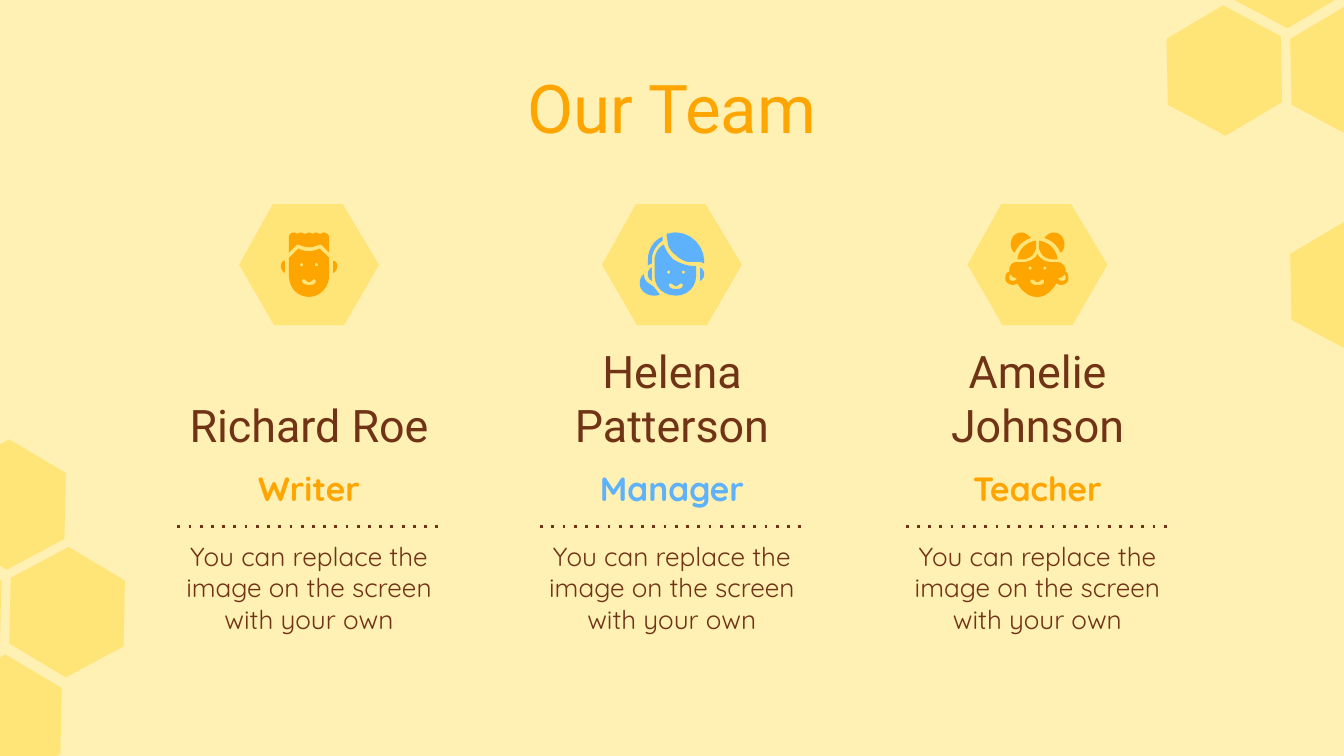
from math import cos, pi, sin

from lxml import etree
from pptx import Presentation
from pptx.dml.color import RGBColor
from pptx.enum.shapes import MSO_CONNECTOR
from pptx.enum.text import MSO_ANCHOR, PP_ALIGN
from pptx.oxml.ns import qn
from pptx.util import Inches, Pt

CREAM = RGBColor(0xFF, 0xF0, 0xB3)
HONEY = RGBColor(0xFF, 0xDB, 0x45)
ORANGE = RGBColor(0xFF, 0xA5, 0x00)
BLUE = RGBColor(0x5E, 0xB2, 0xFC)
BROWN = RGBColor(0x70, 0x33, 0x16)
LINE = MSO_CONNECTOR.STRAIGHT
TOP, BOTTOM = MSO_ANCHOR.TOP, MSO_ANCHOR.BOTTOM
CENTER = PP_ALIGN.CENTER

TITLE = "Our Team"
NOTE = "You can replace the image on the screen with your own"

CELL = [(0.42, 0), (0, 0.25), (0.01, 0.74), (0.44, 0.97), (0.86, 0.72), (0.85, 0.23)]
FLIPPED = [(0.86 - x, y) for x, y in CELL]
BADGE = [(0.52, 0), (0.26, 0.45), (-0.26, 0.45), (-0.52, 0), (-0.27, -0.45), (0.25, -0.45)]
COMBS = [
    (CELL, [(8.68, 0.04), (9.14, -0.76), (9.6, 0.04), (9.6, 1.64)]),
    (FLIPPED, [(-0.37, 3.27), (0.07, 4.07), (-0.4, 4.87), (-0.85, 4.07)]),
]

SMILE = "M4 0 C5 0 5 1 5 2 C4 4 2 4 0 4 C-2 4 -4 4 -5 2 C-6 1 -5 0 -5 0 L-3 0 C-2 1 -1 2 0 2 C1 2 2 1 3 0"
BOY = {
    "pairs": ["M-18 21 C-20 21 -21 23 -21 25 C-21 27 -20 29 -18 30"],
    "parts": [
        "M-6 0 C-7 0 -8 1 -9 1 C-9 1 -10 0 -11 0 C-14 0 -15 2 -15 4 L-15 15 L-9 9 L-8 9 "
        "C-5 10 -3 11 0 11 C3 11 5 10 8 9 L9 9 L15 15 L15 4 C15 2 13 0 11 0 C10 0 9 1 8 1 "
        "C7 1 6 0 5 0 C4 0 3 1 3 1 C2 1 1 0 0 0 C-1 0 -2 1 -3 1 C-4 1 -5 0 -6 0",
    ],
    "face": "M-8 12 L-15 19 L-15 32 C-15 41 -9 48 0 48 C8 48 15 41 15 32 L15 19 L8 12 "
            "C5 13 3 14 0 14 C-3 14 -6 13 -8 12",
    "holes": [], "eyes": 24, "smile": 35,
}
WOMAN = {
    "pairs": ["M-18 26 C-20 27 -21 29 -21 31 C-21 33 -20 35 -18 36"],
    "parts": [
        "M-24 31 C-26 33 -27 35 -27 38 C-27 43 -22 47 -17 47 C-15 47 -13 47 -12 46 "
        "C-14 44 -15 42 -17 40 L-20 38 C-22 37 -24 34 -24 31",
        "M0 0 C-3 0 -5 1 -7 1 C-7 4 -6 6 -6 9 C-5 12 -3 15 0 17 C3 20 7 22 10 22 L18 22 "
        "C19 22 20 23 21 23 L21 21 C21 10 11 0 0 0",
        "M-10 3 C-17 6 -21 13 -21 21 L-21 25 C-21 24 -20 24 -20 24 L-18 23 L-18 20 "
        "C-18 14 -14 9 -10 6 C-10 5 -10 4 -10 3",
    ],
    "face": "M-9 9 C-9 9 -11 10 -12 11 C-14 13 -16 17 -16 21 L-16 32 C-16 41 -9 47 0 47 "
            "C8 47 15 41 15 32 L15 25 C8 25 3 23 -2 20 C-5 17 -8 13 -9 9",
    "holes": [], "eyes": 29.5, "smile": 38,
}
GIRL = {
    "pairs": [
        "M12 0 C9 0 7 2 5 4 C11 6 15 10 17 15 C19 14 20 11 20 9 C20 4 17 0 12 0",
        "M1 6 L1 10 C1 15 5 20 11 20 L15 20 C14 12 8 7 1 6",
    ],
    "parts": [],
    "face": "M0 16 C-2 20 -7 22 -11 22 L-16 22 C-19 22 -21 25 -21 28 L-21 29 "
            "C-23 30 -24 31 -24 34 C-24 37 -21 39 -18 39 C-17 39 -16 38 -15 38 "
            "C-12 43 -7 48 0 48 C6 48 11 43 14 38 C15 38 16 39 17 39 C21 39 23 37 23 34 "
            "C23 31 22 30 21 29 L21 28 C21 25 18 22 15 22 L11 22 C6 22 2 20 0 16",
    "holes": ["M-20 31 C-19 33 -17 34 -15 34 C-16 35 -17 36 -18 36 C-20 36 -21 35 -21 34 C-21 33 -21 32 -20 31"],
    "eyes": 26.5, "smile": 35,
}
TEAM = [
    {"name": "Richard Roe", "role": "Writer", "color": ORANGE, "mid": 2.3, "width": 2.14, "icon": BOY, "shift": 0},
    {"name": "Helena Patterson", "role": "Manager", "color": BLUE, "mid": 5, "width": 2.14, "icon": WOMAN, "shift": 0.03},
    {"name": "Amelie Johnson", "role": "Teacher", "color": ORANGE, "mid": 7.72, "width": 1.55, "icon": GIRL, "shift": 0},
]


def trace(path):
    points = []
    for step in path.replace("M", "|M").replace("L", "|L").replace("C", "|C").split("|")[1:]:
        nums = [float(n) for n in step[1:].split()]
        ends = list(zip(nums[::2], nums[1::2]))
        if step[0] != "C":
            points += ends
            continue
        curve = [points[-1]] + ends
        for i in range(1, 7):
            t = i / 6
            mix = [(1 - t) ** 3, 3 * t * (1 - t) ** 2, 3 * t * t * (1 - t), t ** 3]
            points.append(tuple(sum(m * p[k] for m, p in zip(mix, curve)) for k in (0, 1)))
    return points


def flip(points):
    return [(-x, y) for x, y in points]


def draw(shapes, loops, x, y, color, unit=1, alpha=None):
    loops = [[(Inches(x + a * unit), Inches(y + b * unit)) for a, b in loop] for loop in loops]
    pen = shapes.build_freeform(*loops[0][0])
    pen.add_line_segments(loops[0][1:])
    for loop in loops[1:]:
        pen.move_to(*loop[0])
        pen.add_line_segments(loop[1:])
    shape = pen.convert_to_shape()
    shape.shadow.inherit = False
    shape.line.fill.background()
    shape.fill.solid()
    shape.fill.fore_color.rgb = color
    if alpha:
        tint = shape._element.spPr.find(qn("a:solidFill")).find(qn("a:srgbClr"))
        etree.SubElement(tint, qn("a:alpha"), val=str(alpha * 1000))


def face(icon):
    eyes = [[(mid + 1.2 * cos(k * pi / 6), icon["eyes"] + 1.2 * sin(k * pi / 6)) for k in range(12)]
            for mid in (-5.5, 5.5)]
    smile = [(x, y + icon["smile"]) for x, y in trace(SMILE)]
    holes = [trace(h) for h in icon["holes"]]
    return [trace(icon["face"]), *eyes, smile, *holes, *map(flip, holes)]


def write(text, x, y, w, h, size, color, font="Quicksand", bold=False, anchor=TOP):
    frame = slide.shapes.add_textbox(Inches(x), Inches(y), Inches(w), Inches(h)).text_frame
    frame.word_wrap = True
    frame.vertical_anchor = anchor
    frame.margin_left = frame.margin_right = frame.margin_top = frame.margin_bottom = Inches(0.1)
    para = frame.paragraphs[0]
    para.alignment = CENTER
    run = para.add_run()
    run.text = text
    run.font.name, run.font.size, run.font.bold = font, Pt(size), bold
    run.font.color.rgb = color


def rule(x, y, w):
    line = slide.shapes.add_connector(LINE, Inches(x), Inches(y), Inches(x + w), Inches(y))
    line.line.color.rgb = BROWN
    line.line.width = Pt(1.5)
    etree.SubElement(line._element.spPr.find(qn("a:ln")), qn("a:prstDash"), val="dot")
    etree.SubElement(line._element.spPr, qn("a:effectLst"))


deck = Presentation()
deck.slide_width, deck.slide_height = Inches(10), Inches(5.625)
slide = deck.slides.add_slide(deck.slide_layouts[6])
slide.background.fill.solid()
slide.background.fill.fore_color.rgb = CREAM

for cell, spots in COMBS:
    for x, y in spots:
        draw(slide.shapes, [cell], x, y, HONEY, alpha=54)
write(TITLE, 0.51, 0.39, 8.98, 0.73, 36, ORANGE, font="Roboto")

for who in TEAM:
    mid, color, icon, wide = who["mid"], who["color"], who["icon"], who["width"]
    draw(slide.shapes, [BADGE], mid, 1.97, HONEY, alpha=54)
    group = slide.shapes.add_group_shape().shapes
    pairs = [trace(p) for p in icon["pairs"]]
    solids = [[loop] for loop in [*pairs, *map(flip, pairs), *map(trace, icon["parts"])]]
    for loops in [*solids, face(icon)]:
        draw(group, loops, mid + who["shift"], 1.73, color, unit=0.01)
    write(who["name"], mid - wide / 2, 2.49, wide, 0.97, 24, BROWN, font="Roboto", anchor=BOTTOM)
    write(who["role"], mid - 0.98, 3.46, 1.96, 0.42, 18, color, bold=True, anchor=BOTTOM)
    rule(mid - 0.98, 3.92, 1.96)
    write(NOTE, mid - 1.07, 3.92, 2.14, 0.83, 14, BROWN)

deck.save("out.pptx")
